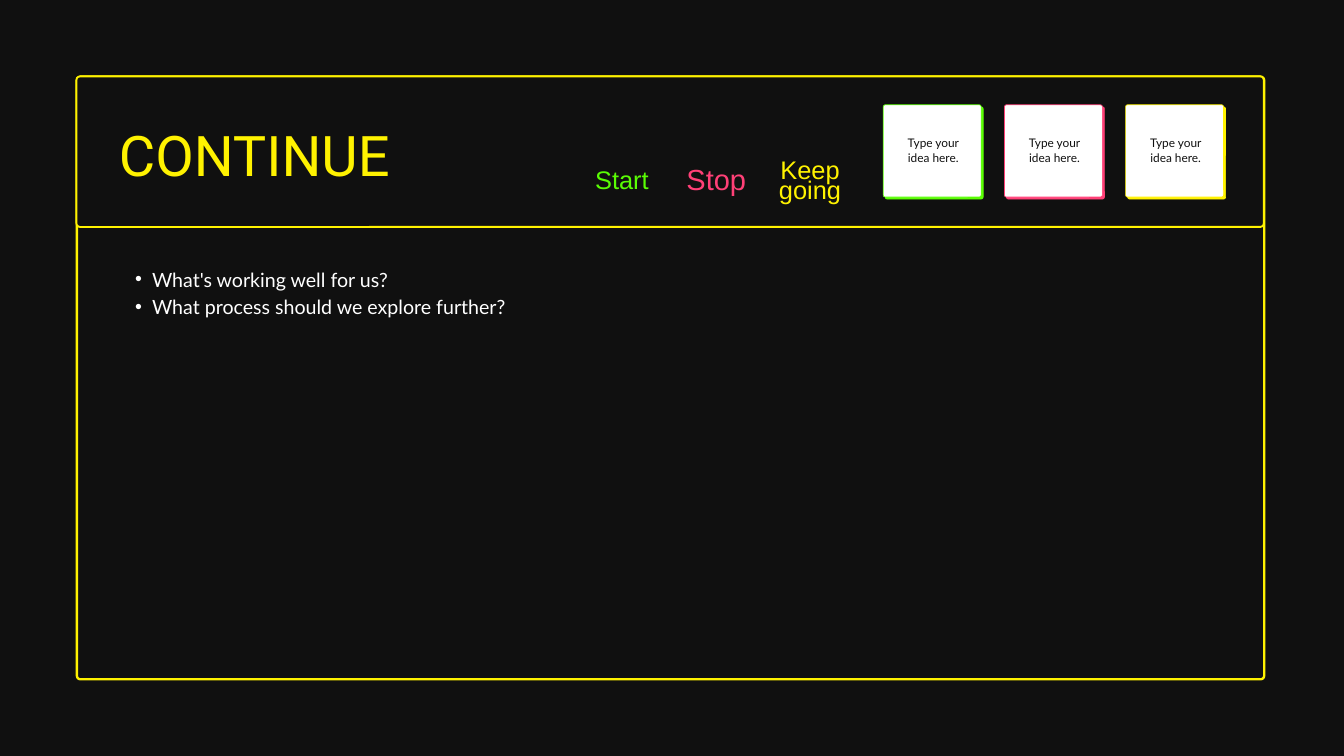
from pptx import Presentation
from pptx.dml.color import RGBColor
from pptx.enum.shapes import MSO_SHAPE as Shape
from pptx.enum.text import MSO_ANCHOR as Anchor, MSO_AUTO_SIZE as AutoSize, PP_ALIGN as Align
from pptx.oxml.ns import qn
from pptx.util import Inches, Pt
from lxml.etree import SubElement

BLACK = RGBColor(0x10, 0x10, 0x10)
WHITE = RGBColor(0xFF, 0xFF, 0xFF)
YELLOW = RGBColor(0xFF, 0xF2, 0x00)
GREEN = RGBColor(0x5A, 0xFD, 0x04)
PINK = RGBColor(0xFF, 0x40, 0x77)

# The slide is a grid of 160 columns by 90 rows
COLS, ROWS = 160, 90
CELL = Inches(20) / COLS

TITLE = dict(name="Roboto", size=Pt(60))
BULLET = dict(name="Lato", size=Pt(21))
LABEL = dict(name="Arial", size=Pt(27.2))
BIG_LABEL = dict(name="Arial", size=Pt(31.1))
NOTE = dict(name="Lato", size=Pt(12.7))


def grid(*cells):
    return [round(c * CELL) for c in cells]


def within(box, dx, dy, w, h):
    """Box of the given size, offset from the corner of another box."""
    return box[0] + dx, box[1] + dy, w, h


def write(sp, lines, font, color, leading, align=Align.LEFT):
    tf = sp.text_frame
    settings = dict(word_wrap=True, auto_size=AutoSize.NONE, vertical_anchor=Anchor.TOP,
                    margin_left=0, margin_top=0, margin_right=0, margin_bottom=0)
    for key, value in settings.items():
        setattr(tf, key, value)
    for i, line in enumerate(lines):
        p = tf.add_paragraph() if i else tf.paragraphs[0]
        p.alignment, p.line_spacing, p.space_before = align, Pt(leading), Pt(0)
        r = p.add_run()
        r.text = line
        for key, value in font.items():
            setattr(r.font, key, value)
        r.font.color.rgb = color
    return tf


def add_text(s, box, *args, **kwargs):
    return write(s.shapes.add_textbox(*grid(*box)), *args, **kwargs)


def add_panel(s, box, fill, line, width, radius):
    sp = s.shapes.add_shape(Shape.ROUNDED_RECTANGLE, *grid(*box))
    sp.adjustments[0] = radius / min(box[2:])
    sp.shadow.inherit = False
    sp.fill.solid()
    sp.fill.fore_color.rgb = fill
    sp.line.color.rgb = line
    sp.line.width = Pt(width)


def add_card(s, box, color):
    w, h = box[2:]
    add_panel(s, within(box, 0.24, 0.24, w, h), color, color, 0.75, 0.24)
    add_panel(s, box, WHITE, color, 0.75, 0.24)
    add_text(s, within(box, 1.72, 3.52, 8.48, 3.84), ["Type your idea here."],
             NOTE, BLACK, 16.4, Align.CENTER)


def add_header(s, box):
    add_panel(s, box, BLACK, YELLOW, 2, 0.42)

    # Title, brought in front of the header panel
    title = s.shapes.title
    title.left, title.top, title.width, title.height = grid(*within(box, 5.06, 5.22, 54, 8.56))
    write(title, ["CONTINUE"], TITLE, YELLOW, 72)
    title.element.getparent().append(title.element)

    # Category labels
    labels = [
        (["Start"], GREEN, LABEL, 21.7, (60.54, 11.62, 8.8, 2.72)),
        (["Stop"], PINK, BIG_LABEL, 24.9, (71.14, 11.54, 10.08, 3.04)),
        (["Keep", "going"], YELLOW, LABEL, 21.7, (82.34, 10.42, 10, 5.12)),
    ]
    for lines, color, font, leading, place in labels:
        add_text(s, within(box, *place), lines, font, color, leading, Align.CENTER)

    # Idea cards, evenly spaced
    for i, color in enumerate((GREEN, PINK, YELLOW)):
        add_card(s, within(box, 96.05 + 14.43 * i, 3.38, 11.66, 10.98), color)


def add_questions(s, box):
    tf = add_text(s, box, ["What's working well for us?",
                           "What process should we explore further?"], BULLET, WHITE, 29.4)
    for p in tf.paragraphs:
        p.level = 1
        pPr = p._p.get_or_add_pPr()
        pPr.set("marL", str(Inches(0.5)))
        pPr.set("indent", str(-Inches(0.25)))
        SubElement(pPr, qn("a:buFont")).set("typeface", "Arial")
        SubElement(pPr, qn("a:buChar")).set("char", "•")


def main():
    prs = Presentation()
    prs.slide_width, prs.slide_height = grid(COLS, ROWS)
    s = prs.slides.add_slide(prs.slide_layouts[5])
    s.background.fill.solid()
    s.background.fill.fore_color.rgb = BLACK

    frame = (9.15, 9.12, 141.35, 71.75)
    add_panel(s, frame, BLACK, YELLOW, 2.5, 0.42)
    add_header(s, (9.1, 9.1, 141.35, 17.92))
    add_questions(s, within(frame, 4.95, 22.26, 57, 7))
    prs.save("out.pptx")


if __name__ == "__main__":
    main()
